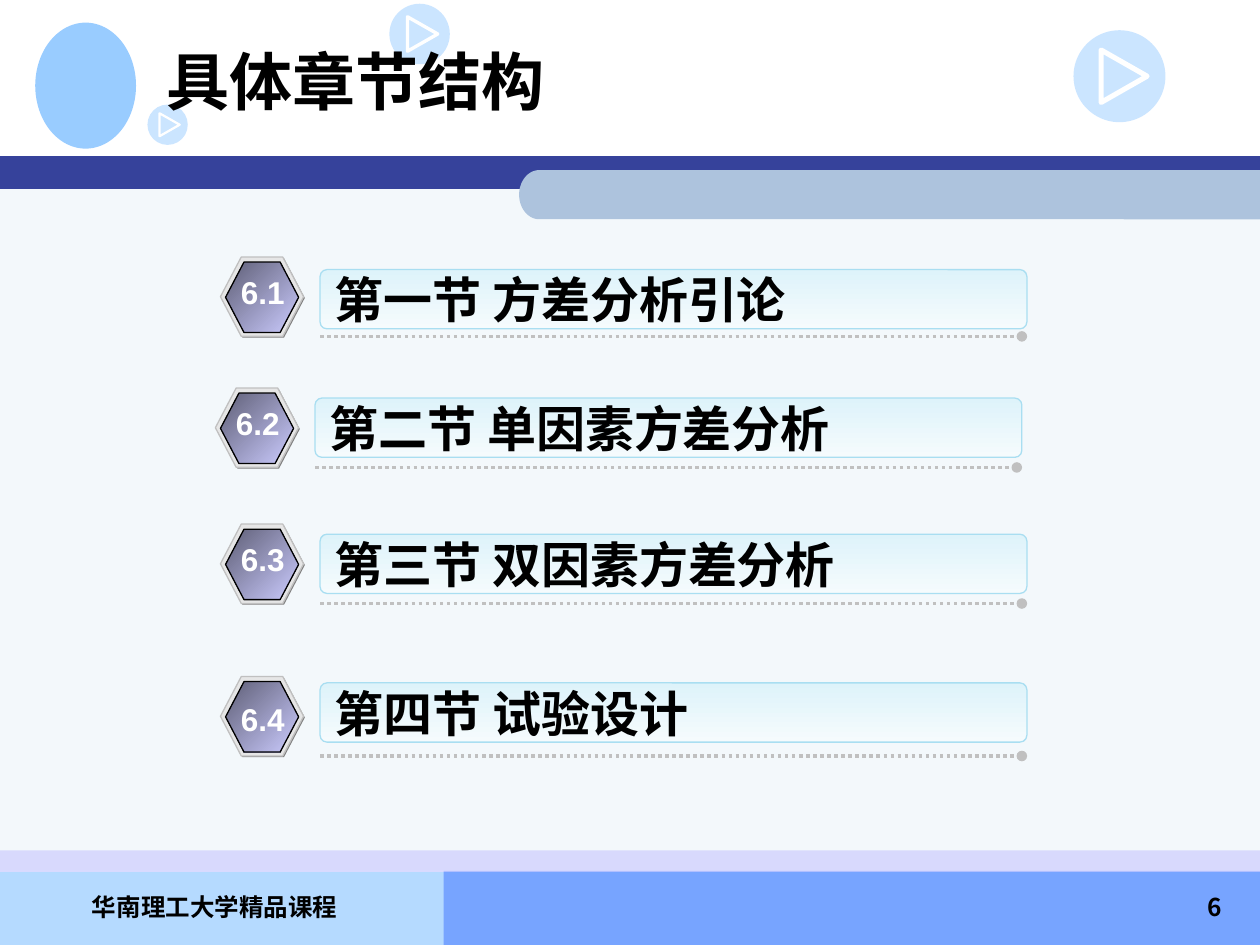
"""Build the chapter structure slide."""
import math

from lxml import etree
from pptx import Presentation
from pptx.dml.color import RGBColor
from pptx.enum import dml, shapes, text
from pptx.oxml import ns
from pptx.util import Inches, Pt

BLACK = RGBColor(0x00, 0x00, 0x00)
WHITE = RGBColor(0xFF, 0xFF, 0xFF)
SKY = RGBColor(0x99, 0xCC, 0xFF)
LILAC = RGBColor(0xCC, 0xCC, 0xFF)
FOOTER_LEFT = RGBColor(0xB5, 0xDA, 0xFF)
FOOTER_RIGHT = RGBColor(0x77, 0xA4, 0xFF)
PANEL = RGBColor(0xF3, 0xF8, 0xFB)
NAVY = RGBColor(0x36, 0x42, 0x9B)
STEEL = RGBColor(0xAD, 0xC3, 0xDD)
BAR_TOP = RGBColor(0xDE, 0xF3, 0xFA)
BAR_BOTTOM = RGBColor(0xF5, 0xFB, 0xFD)
BAR_EDGE = RGBColor(0xA9, 0xDE, 0xF1)
SHADE = RGBColor(0x80, 0x80, 0x80)
RIM = RGBColor(0xE6, 0xE6, 0xE6)
SILVER = RGBColor(0xC0, 0xC0, 0xC0)
DUSK = RGBColor(0x5E, 0x5E, 0x76)
CJK = "Noto Sans CJK SC"
SHAPE = shapes.MSO_SHAPE
ALIGN = text.PP_ALIGN
MIDDLE = text.MSO_ANCHOR.MIDDLE

SECTIONS = [
    ("6.1", "第一节 方差分析引论", 2.54, 2.04, 0.10, 0.08),
    ("6.2", "第二节 单因素方差分析", 2.50, 3.08, 0.08, 0.08),
    ("6.3", "第三节 双因素方差分析", 2.54, 4.16, 0.08, 0.08),
    ("6.4", "第四节 试验设计", 2.54, 5.37, 0.05, 0.14),
]


def add_xml(parent, tag, **attributes):
    """Append a DrawingML element and return it."""
    return etree.SubElement(parent, ns.qn(tag), **attributes)


def paint(sp, fill=None, edge=None, width=0.75, angle=None, alpha=None):
    """Set a solid, gradient or empty fill and the outline."""
    sp.shadow.inherit = False
    if fill is None:
        sp.fill.background()
    elif angle is not None:
        sp.fill.gradient()
        sp.fill.gradient_angle = angle
        for stop, color in zip(sp.fill.gradient_stops, fill):
            stop.color.rgb = color
    else:
        sp.fill.solid()
        sp.fill.fore_color.rgb = fill
    if alpha:
        color = sp._element.spPr.find(ns.qn("a:solidFill"))[0]
        add_xml(color, "a:alpha", val=str(alpha * 1000))
    if edge is None:
        sp.line.fill.background()
    else:
        sp.line.color.rgb = edge
        sp.line.width = Pt(width)


def add_preset(s, kind, x, y, w, h, **style):
    """Add a painted preset shape."""
    sp = s.shapes.add_shape(kind, Inches(x), Inches(y), Inches(w), Inches(h))
    paint(sp, **style)
    return sp


def write(sp, words, size, font=CJK, color=BLACK, align=ALIGN.LEFT, anchor=MIDDLE, wrap=True):
    """Write one bold paragraph into a shape."""
    tf = sp.text_frame
    tf.word_wrap = wrap
    tf.vertical_anchor = anchor
    p = tf.paragraphs[0]
    p.text = words
    p.alignment = align
    p.font.size, p.font.bold, p.font.name = Pt(size), True, font
    p.font.color.rgb = color
    r_pr = p.runs[0]._r.get_or_add_rPr()
    add_xml(r_pr, "a:ea", typeface=font)


def add_label(s, words, x, y, w, h, size, **style):
    """Add a text box."""
    sp = s.shapes.add_textbox(Inches(x), Inches(y), Inches(w), Inches(h))
    write(sp, words, size, **style)


def add_band(s, left, top, right, bottom, radius):
    """Add a horizontal band with a rounded left end."""
    middle, half = (top + bottom) / 2, (bottom - top) / 2
    curve = []
    for degrees in range(0, 181, 5):
        a = math.radians(degrees)
        curve.append((Inches(left + radius - radius * math.sin(a)),
                      Inches(middle - half * math.cos(a))))
    builder = s.shapes.build_freeform(Inches(right), Inches(top))
    builder.add_line_segments(curve + [(Inches(right), Inches(bottom))])
    paint(builder.convert_to_shape(), STEEL)


def add_play_badge(s, x, y, d):
    """Add a translucent disc with an outlined triangle pointing right."""
    add_preset(s, SHAPE.OVAL, x, y, d, d, fill=SKY, alpha=50)
    w, h = 0.57 * d, 0.5 * d
    sp = add_preset(s, SHAPE.ISOSCELES_TRIANGLE, x + 0.55 * d - w / 2, y + (d - h) / 2,
                    w, h, edge=WHITE, width=round(4 * d, 2))
    sp.rotation = 90
    add_xml(sp.line._get_or_add_ln(), "a:round")


def add_hexagons(s, x, y):
    """Add the layered hexagon button."""
    layers = [
        (0.01, 0.66, 0.63, dict(fill=SHADE)),
        (0, 0.66, 0.63, dict(fill=RIM, edge=SILVER)),
        (0.04, 0.58, 0.56, dict(fill=(DUSK, LILAC), angle=315, edge=BLACK)),
    ]
    for shift, w, h, style in layers:
        sp = add_preset(s, SHAPE.HEXAGON, x + shift, y + shift, w, h, **style)
        sp.adjustments[0] = 0.262


def add_dotted_line(s, x, y, length):
    """Add a dotted rule ending in a dot."""
    sp = s.shapes.add_connector(shapes.MSO_CONNECTOR.STRAIGHT, Inches(x), Inches(y),
                                Inches(x + length), Inches(y))
    sp.line.color.rgb = SILVER
    sp.line.width = Pt(2)
    sp.line.dash_style = dml.MSO_LINE.ROUND_DOT
    add_xml(sp.line._get_or_add_ln(), "a:tailEnd", type="oval")
    add_xml(sp._element.spPr, "a:effectLst")


def add_section(s, number, title, x, y, bar_shift, label_shift):
    """Add one section row: button, title bar and rule."""
    add_hexagons(s, x - 0.79, y)
    add_dotted_line(s, x, y + 0.63, 5.57)
    add_label(s, number, x - 0.73, y + label_shift, 0.55, 0.4, 18, font="Arial",
              color=WHITE, align=ALIGN.CENTER, anchor=text.MSO_ANCHOR.TOP, wrap=False)
    bar = add_preset(s, SHAPE.ROUNDED_RECTANGLE, x, y + bar_shift, 5.61, 0.47,
                     fill=(BAR_TOP, BAR_BOTTOM), angle=270, edge=BAR_EDGE)
    bar.adjustments[0] = 0.117
    write(bar, title, 28)


def add_frame(s):
    """Add the background bands, ornaments and footer."""
    for x, y, w, h, fill, alpha in [
        (0, 6.92, 4.25, 0.58, FOOTER_LEFT, None),
        (3.52, 6.91, 6.48, 0.59, FOOTER_RIGHT, None),
        (0, 1.4, 10, 5.51, PANEL, None),
        (0, 1.24, 10, 0.26, NAVY, None),
        (0, 6.75, 10, 0.17, LILAC, 69),
        (0, 6.92, 3.52, 0.58, FOOTER_LEFT, None),
    ][:5]:
        add_preset(s, SHAPE.RECTANGLE, x, y, w, h, fill=fill, alpha=alpha)
    add_band(s, 4.12, 1.35, 10, 1.74, 0.16)
    add_preset(s, SHAPE.OVAL, 0.28, 0.18, 0.8, 1, fill=SKY)
    for x, y, d in [(3.09, 0.03, 0.48), (8.52, 0.24, 0.73), (1.17, 0.83, 0.32)]:
        add_play_badge(s, x, y, d)
    top = text.MSO_ANCHOR.TOP
    add_label(s, "华南理工大学精品课程", 0.12, 7.03, 3.17, 0.5, 14,
              font="Noto Sans CJK KR", align=ALIGN.CENTER, anchor=top)
    add_label(s, "6", 7.72, 7.03, 2.08, 0.5, 14, align=ALIGN.RIGHT, anchor=top)


def main():
    """Build and save the slide."""
    prs = Presentation()
    prs.slide_width, prs.slide_height = Inches(10), Inches(7.5)
    s = prs.slides.add_slide(prs.slide_layouts[6])
    add_frame(s)
    add_label(s, "具体章节结构", 1.22, 0.05, 8.5, 1.17, 36)
    for section in SECTIONS:
        add_section(s, *section)
    prs.save("out.pptx")


if __name__ == "__main__":
    main()
